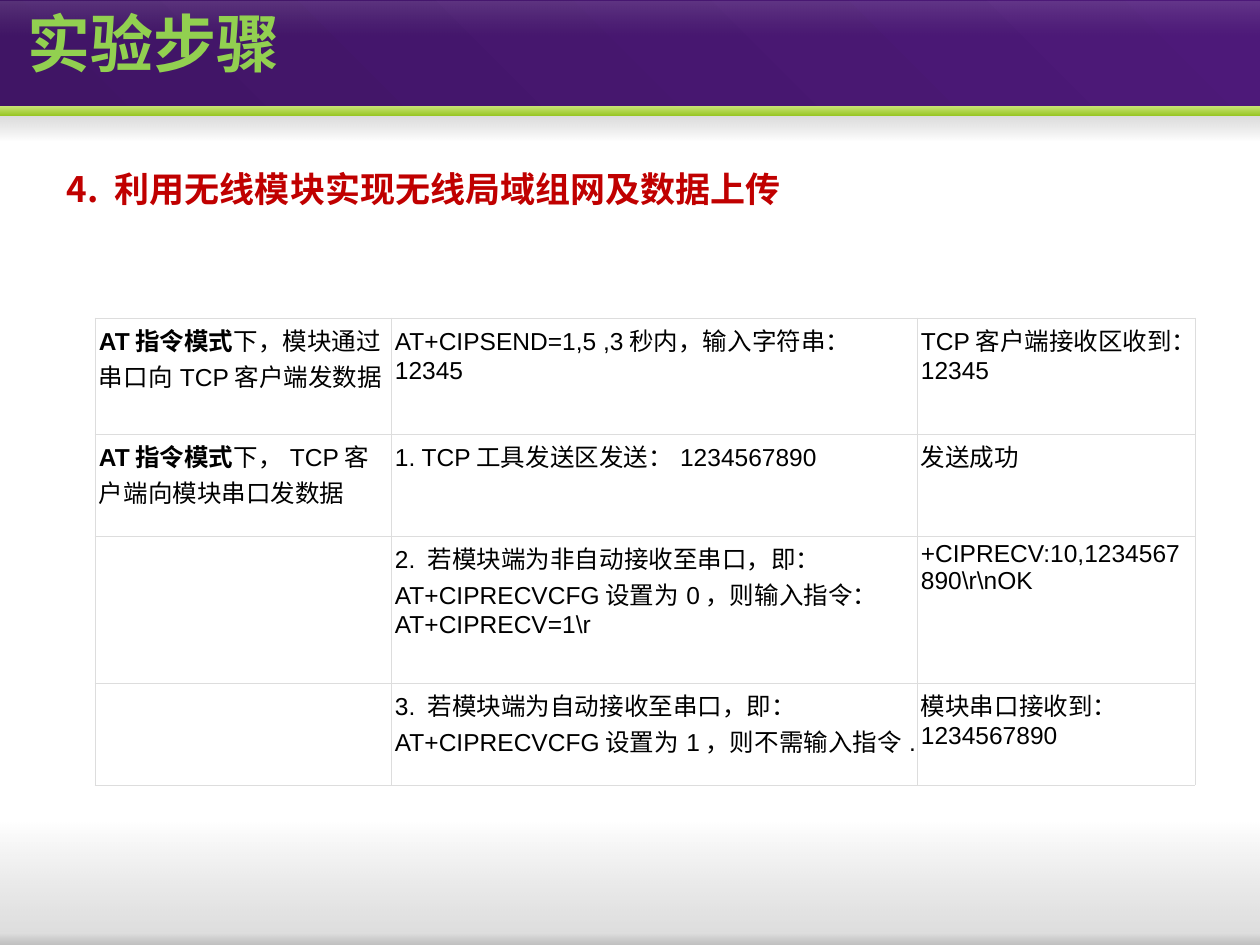
from lxml import etree
from pptx import Presentation
from pptx.dml.color import RGBColor
from pptx.enum.shapes import MSO_SHAPE
from pptx.enum.text import MSO_ANCHOR, MSO_AUTO_SIZE, PP_ALIGN
from pptx.oxml.ns import qn
from pptx.util import Pt

RECT = MSO_SHAPE.RECTANGLE
TOP = MSO_ANCHOR.TOP
FIXED = MSO_AUTO_SIZE.NONE
LEFT = PP_ALIGN.LEFT
SCALE = 914400 / 126
SANS = "Noto Sans CJK SC"
MODE = "AT指令模式"
BANDS = [
    ((0, 935, 1260, 10), ("5C5C5C", 0), ("808080", 33), 90, 0),
    ((0, 822, 1260, 124), ("5C5C5C", 0), ("808080", 29), 90, 0),
    ((0, -2, 1260, 118), ("401565", 100), ("4D1979", 100), 315, 0),
    ((0, 111, 1260, 30), ("5C5C5C", 0), ("808080", 33), 90, 180),
    ((0, 2, 1260, 35), ("FFFFFF", 13), ("B6B6B6", 0), 90, 0),
    ((0, 106, 1260, 10), ("C9E576", 100), ("97C523", 100), 90, 0),
]
ROWS = [
    [(MODE, "下，模块通过串口向TCP客户端发数据"),
     ("", "AT+CIPSEND=1,5 ,3秒内，输入字符串：12345"),
     ("", "TCP客户端接收区收到：12345")],
    [(MODE, "下，TCP客户端向模块串口发数据"),
     ("", "1. TCP工具发送区发送：1234567890"),
     ("", "发送成功")],
    [("", ""),
     ("", "2. 若模块端为非自动接收至串口，即：AT+CIPRECVCFG设置为0，则输入指令：AT+CIPRECV=1\\r"),
     ("", "+CIPRECV:10,1234567890\\r\\nOK")],
    [("", ""),
     ("", "3. 若模块端为自动接收至串口，即：AT+CIPRECVCFG设置为1，则不需输入指令."),
     ("", "模块串口接收到：1234567890")],
]


def px(num):
    """Turn pixels into EMU."""
    return round(num * SCALE)


def rgb(code):
    """Turn a hex string into a colour."""
    return RGBColor.from_string(code)


def node(root, tag, **attrs):
    """Add an XML child with attributes."""
    return etree.SubElement(root, qn(tag), {k: str(v) for k, v in attrs.items()})


def write(para, text, size=14, color="000000", bold=False, font="Arial"):
    """Add a formatted run to a paragraph."""
    run = para.add_run()
    run.text = text
    face = run.font
    face.size, face.bold, face.name = Pt(size), bold, font
    face.color.rgb = rgb(color)
    node(face._element, "a:ea", typeface=SANS)


class Deck:
    """Hold the style and the current slide."""

    line = "DDDDDD"
    back = "FFFFFF"
    inset = 4

    def __init__(self, slide):
        """Keep the slide to draw on."""
        self.slide = slide
        self.shapes = slide.shapes

    def band(self, box, start, end, angle, turn):
        """Draw a bar with a linear gradient."""
        bar = self.shapes.add_shape(RECT, *map(px, box))
        bar.shadow.inherit = False
        bar.rotation = turn
        bar.line.fill.background()
        bar.fill.background()
        props = bar._element.spPr
        grad = etree.Element(qn("a:gradFill"), rotWithShape="1")
        stops = node(grad, "a:gsLst")
        for pos, (code, alpha) in ((0, start), (100000, end)):
            tint = node(node(stops, "a:gs", pos=pos), "a:srgbClr", val=code)
            node(tint, "a:alpha", val=alpha * 1000)
        node(grad, "a:lin", ang=angle * 60000, scaled=0)
        props.replace(props.find(qn("a:noFill")), grad)

    def label(self, shape, text, **style):
        """Fill a text shape with one bold line."""
        frame = shape.text_frame
        frame.word_wrap = True
        frame.auto_size = FIXED
        frame.vertical_anchor = TOP
        para = frame.paragraphs[0]
        para.alignment = LEFT
        para.line_spacing = Pt(33)
        write(para, text, bold=True, font=SANS, **style)

    def title(self, box, text, **style):
        """Place the title in front of the bands."""
        shape = self.shapes.title
        shape.left, shape.top, shape.width, shape.height = map(px, box)
        self.label(shape, text, **style)
        self.shapes._spTree.append(shape._element)

    def note(self, box, text, **style):
        """Add a text box."""
        self.label(self.shapes.add_textbox(*map(px, box)), text, **style)

    def cell(self, cell, lead, text):
        """Format and fill one table cell."""
        cell.margin_left = cell.margin_right = px(self.inset)
        cell.margin_top = cell.margin_bottom = px(self.inset)
        props = cell._tc.get_or_add_tcPr()
        for side in "LRTB":
            edge = node(props, f"a:ln{side}", w=Pt(0.5))
            node(node(edge, "a:solidFill"), "a:srgbClr", val=self.line)
        cell.fill.solid()
        cell.fill.fore_color.rgb = rgb(self.back)
        para = cell.text_frame.paragraphs[0]
        if lead:
            write(para, lead, bold=True)
        if text:
            write(para, text)

    def table(self, left, top, cols, highs, rows):
        """Add a bordered table."""
        box = map(px, (left, top, sum(cols), sum(highs)))
        grid = self.shapes.add_table(len(rows), len(cols), *box).table
        grid.first_row = grid.horz_banding = False
        for col, width in zip(grid.columns, cols):
            col.width = px(width)
        for row, high, texts in zip(grid.rows, highs, rows):
            row.height = px(high)
            for cell, pair in zip(row.cells, texts):
                self.cell(cell, *pair)


def main():
    """Build the slide and save it."""
    show = Presentation()
    show.slide_width, show.slide_height = px(1260), px(945)
    deck = Deck(show.slides.add_slide(show.slide_layouts[5]))
    for band in BANDS:
        deck.band(*band)
    deck.note((54, 146, 1110, 123), "4. 利用无线模块实现无线局域组网及数据上传",
              size=20, color="C00000")
    deck.table(95, 318, (296, 526, 278), (116, 102, 147, 102), ROWS)
    deck.title((15, 16, 1110, 70), "实验步骤", size=36, color="92D050")
    show.save("out.pptx")


if __name__ == "__main__":
    main()
